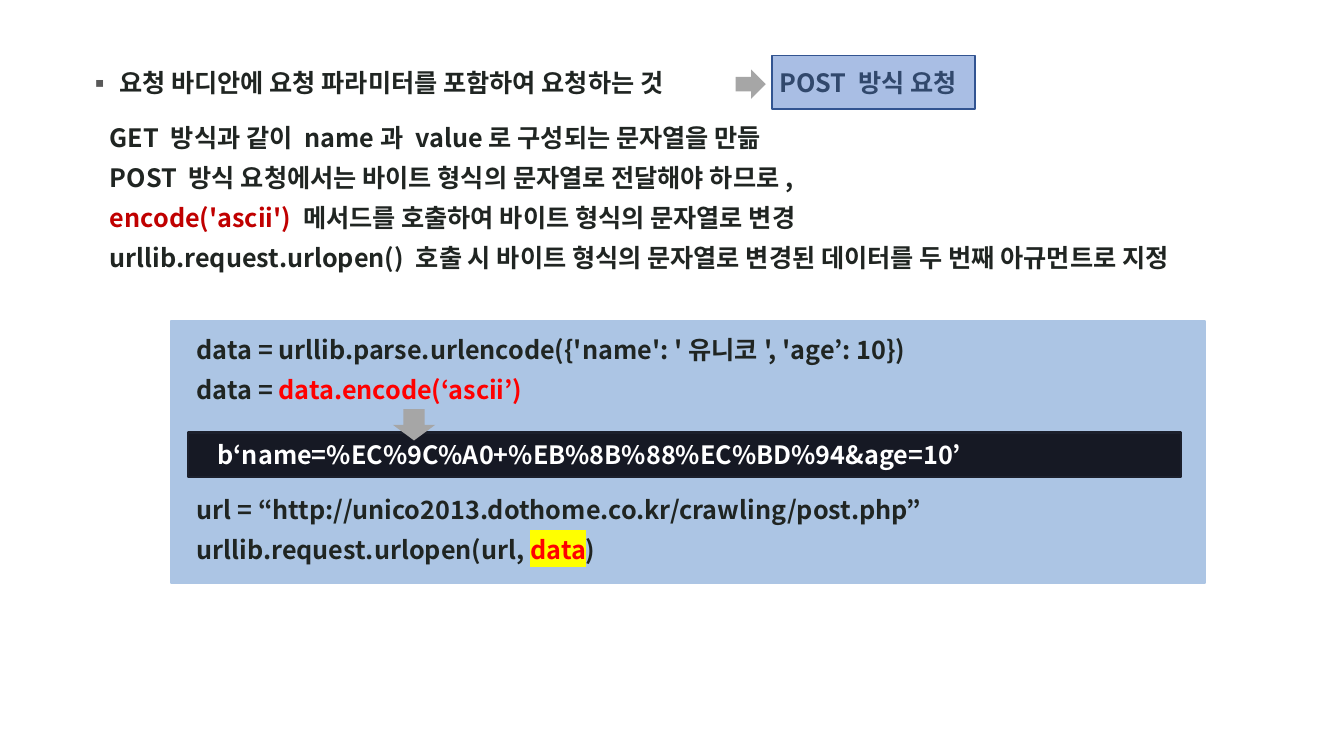
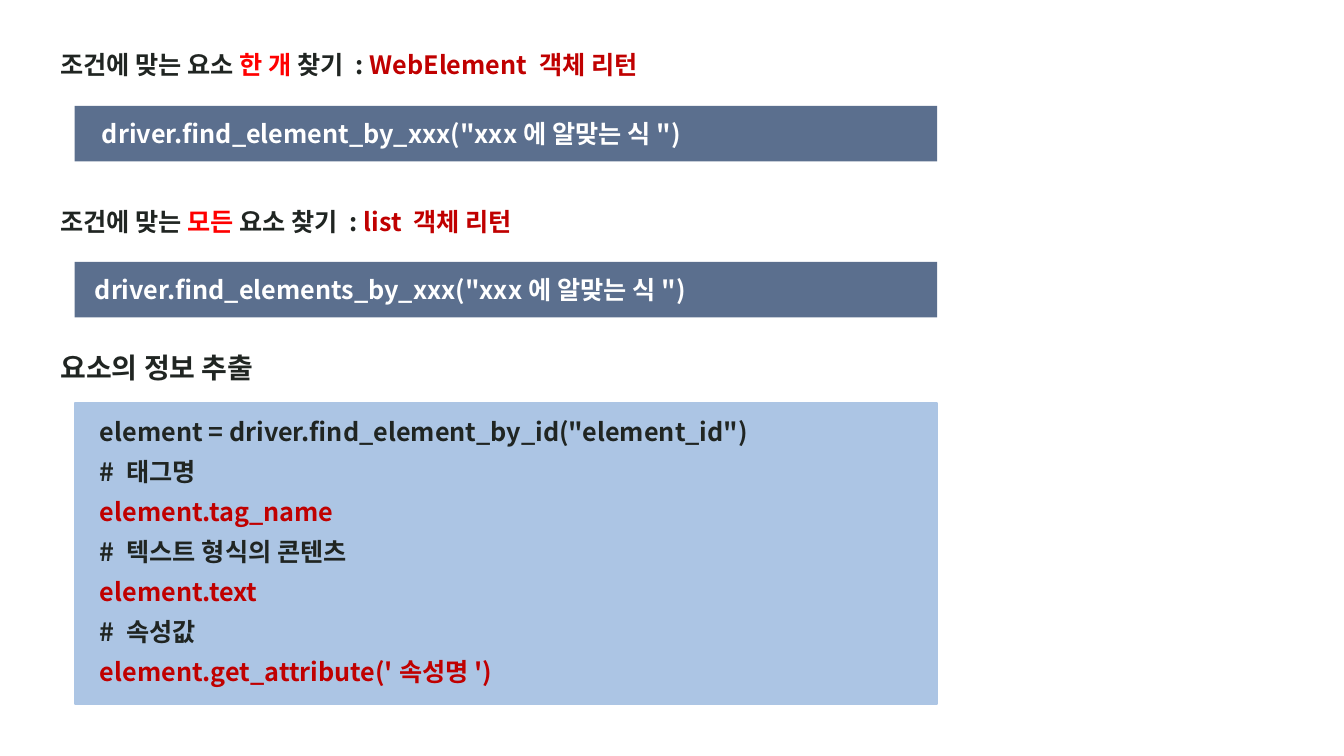
from lxml.etree import SubElement
from pptx import Presentation
from pptx.dml.color import RGBColor
from pptx.enum.shapes import MSO_SHAPE
from pptx.enum.text import MSO_ANCHOR, MSO_AUTO_SIZE, PP_ALIGN
from pptx.oxml.ns import qn
from pptx.util import Cm, Pt

# Shared style
FONT = "Noto Sans CJK KR"
INK, WHITE = "202522", "FFFFFF"
RED, DARK_RED, YELLOW = "FF0000", "C00000", "FFFF00"
PANEL, BAR, ARROW = "ACC5E4", "5B6F8E", "A6A6A6"
RESULT_FILL, RESULT_LINE = "161924", "1C202C"
BADGE_FILL, BADGE_LINE, BADGE_TEXT = "A9BEE4", "325491", "31486C"
BULLET = "595959"
TEXT_SIZE, LINE_FACTOR, GAP = 18, 1.2, 7
PANEL_INSETS = (0.64, 0.33)
BOX_INSETS = (0.25, 0.13)


def rgb(hex_colour):
    return RGBColor.from_string(hex_colour)


def place(shape, left, top, width, height):
    shape.left, shape.top = Cm(left), Cm(top)
    shape.width, shape.height = Cm(width), Cm(height)


def paint(shape, fill, line=None, line_width=1.5):
    shape.fill.solid()
    shape.fill.fore_color.rgb = rgb(fill)
    if line:
        shape.line.color.rgb = rgb(line)
        shape.line.width = Pt(line_width)
    else:
        shape.line.fill.background()


def set_bullet(paragraph, mark, indent):
    """Set the left margin, with a hanging square mark or none."""
    properties = paragraph._p.get_or_add_pPr()
    properties.set("marL", str(Cm(indent)))
    properties.set("indent", str(-Cm(indent) if mark else 0))
    if mark:
        colour = SubElement(properties, qn("a:buClr"))
        SubElement(colour, qn("a:srgbClr"), val=BULLET)
        SubElement(properties, qn("a:buFont"), typeface=FONT)
        SubElement(properties, qn("a:buChar"), char=mark)
    else:
        SubElement(properties, qn("a:buNone"))


def set_font(paragraph, size, colour):
    font = paragraph.font
    font.name, font.size, font.bold = FONT, Pt(size), True
    font.color.rgb = rgb(colour)
    defaults = paragraph._p.pPr.find(qn("a:defRPr"))
    SubElement(defaults, qn("a:ea"), typeface=FONT)


def add_run(paragraph, text, colour=None, highlight=None):
    run = paragraph.add_run()
    run.text = text
    if colour:
        run.font.color.rgb = rgb(colour)
    if highlight:
        mark = SubElement(run._r.get_or_add_rPr(), qn("a:highlight"))
        SubElement(mark, qn("a:srgbClr"), val=highlight)


def write(shape, lines, colour=INK, size=TEXT_SIZE, insets=BOX_INSETS,
          anchor=MSO_ANCHOR.TOP, mark=None, indent=0, gaps=None):
    """Write lines, each a list of (text, colour, highlight) runs."""
    frame = shape.text_frame
    frame.word_wrap = True
    frame.auto_size = MSO_AUTO_SIZE.NONE
    frame.vertical_anchor = anchor
    frame.margin_left, frame.margin_top = Cm(insets[0]), Cm(insets[1])
    frame.margin_right, frame.margin_bottom = Cm(0.25), Cm(0.13)
    for number, runs in enumerate(lines):
        paragraph = frame.add_paragraph() if number else frame.paragraphs[0]
        paragraph.alignment = PP_ALIGN.LEFT
        paragraph.line_spacing = Pt(size * LINE_FACTOR)
        paragraph.space_before = Pt((gaps or {}).get(number, GAP) if number else 0)
        set_bullet(paragraph, mark, indent)
        set_font(paragraph, size, colour)
        for run in runs:
            add_run(paragraph, *run)


def add_block(slide, kind, box, fill, line=None, line_width=1.5):
    block = slide.shapes.add_shape(kind, *map(Cm, box))
    block.shadow.inherit = False
    paint(block, fill, line, line_width)
    return block


def add_strip(slide, box, text, inset, fill, line=None, line_width=1.5, colour=WHITE):
    strip = add_block(slide, MSO_SHAPE.RECTANGLE, box, fill, line, line_width)
    write(strip, [[(text,)]], colour, insets=(inset, 0.13), anchor=MSO_ANCHOR.MIDDLE)


def add_heading(slide, box, runs, size=TEXT_SIZE):
    write(slide.shapes.add_textbox(*map(Cm, box)), [runs], size=size)


def add_slide(deck):
    slide = deck.slides.add_slide(deck.slide_layouts[1])
    return slide, slide.shapes.title, slide.placeholders[1]


def build_post_request(deck):
    slide, title, explanation = add_slide(deck)

    # Definition and its name
    place(title, 1.96, 1.57, 16, 1.02)
    write(title, [[("요청 바디안에 요청 파라미터를 포함하여 요청하는 것",)]],
          mark="▪", indent=0.79)
    add_block(slide, MSO_SHAPE.RIGHT_ARROW, (18.54, 1.75, 0.76, 0.74), ARROW)
    add_strip(slide, (19.46, 1.4, 5.11, 1.35), "POST 방식 요청", 0.18,
              BADGE_FILL, BADGE_LINE, 1, BADGE_TEXT)

    # Explanation
    place(explanation, 1.96, 2.95, 30.2, 4.09)
    write(explanation, [
        [("GET 방식과 같이 name과 value로 구성되는 문자열을 만듦",)],
        [("POST 방식 요청에서는 바이트 형식의 문자열로 전달해야 하므로,",)],
        [("encode('ascii') ", DARK_RED),
         ("메서드를 호출하여 바이트 형식의 문자열로 변경",)],
        [("urllib.request.urlopen() 호출 시 바이트 형식의 문자열로 "
          "변경된 데이터를 두 번째 아규먼트로 지정",)],
    ], indent=0.56)

    # Code, with room for the encoded result before the url line
    code = add_block(slide, MSO_SHAPE.RECTANGLE, (4.32, 8.1, 26.04, 6.6), PANEL, PANEL)
    write(code, [
        [("data = urllib.parse.urlencode({'name': '유니코', 'age’: 10})",)],
        [("data = ",), ("data.encode(‘ascii’)", RED)],
        [("url = “http://unico2013.dothome.co.kr/crawling/post.php”",)],
        [("urllib.request.urlopen(url, ",), ("data", RED, YELLOW), (")",)],
    ], insets=PANEL_INSETS, gaps={2: 64})
    add_strip(slide, (4.75, 10.9, 25.02, 1.12),
              "b‘name=%EC%9C%A0+%EB%8B%88%EC%BD%94&age=10’", 0.74,
              RESULT_FILL, RESULT_LINE)
    add_block(slide, MSO_SHAPE.DOWN_ARROW, (9.9, 10.31, 1.07, 0.79), ARROW)


def build_find_elements(deck):
    slide, title, code = add_slide(deck)

    # One element
    place(title, 1.27, 1.12, 21.4, 1.02)
    write(title, [[("조건에 맞는 요소 ",), ("한 개", RED), (" 찾기 : ",),
                   ("WebElement 객체 리턴", DARK_RED)]])
    add_strip(slide, (1.88, 2.67, 21.74, 1.4),
              'driver.find_element_by_xxx("xxx에 알맞는 식")', 0.69, BAR)

    # All elements
    add_heading(slide, (1.27, 5.08, 21.4, 1.02),
                [("조건에 맞는 ",), ("모든", RED), (" 요소 찾기 : ",),
                 ("list 객체 리턴", DARK_RED)])
    add_strip(slide, (1.88, 6.6, 21.74, 1.4),
              'driver.find_elements_by_xxx("xxx에 알맞는 식")', 0.51, BAR)

    # Reading an element
    add_heading(slide, (1.27, 8.69, 22.4, 1.12), [("요소의 정보 추출",)], size=20)
    place(code, 1.88, 10.16, 21.74, 7.57)
    paint(code, PANEL, PANEL)
    write(code, [
        [('element = driver.find_element_by_id("element_id")',)],
        [("# 태그명",)],
        [("element.tag_name", DARK_RED)],
        [("# 텍스트 형식의 콘텐츠",)],
        [("element.text", DARK_RED)],
        [("# 속성값",)],
        [("element.get_attribute('속성명')", DARK_RED)],
    ], insets=PANEL_INSETS)


def main():
    deck = Presentation()
    deck.slide_width, deck.slide_height = Cm(33.87), Cm(19.05)
    build_post_request(deck)
    build_find_elements(deck)
    deck.save("out.pptx")


if __name__ == "__main__":
    main()
